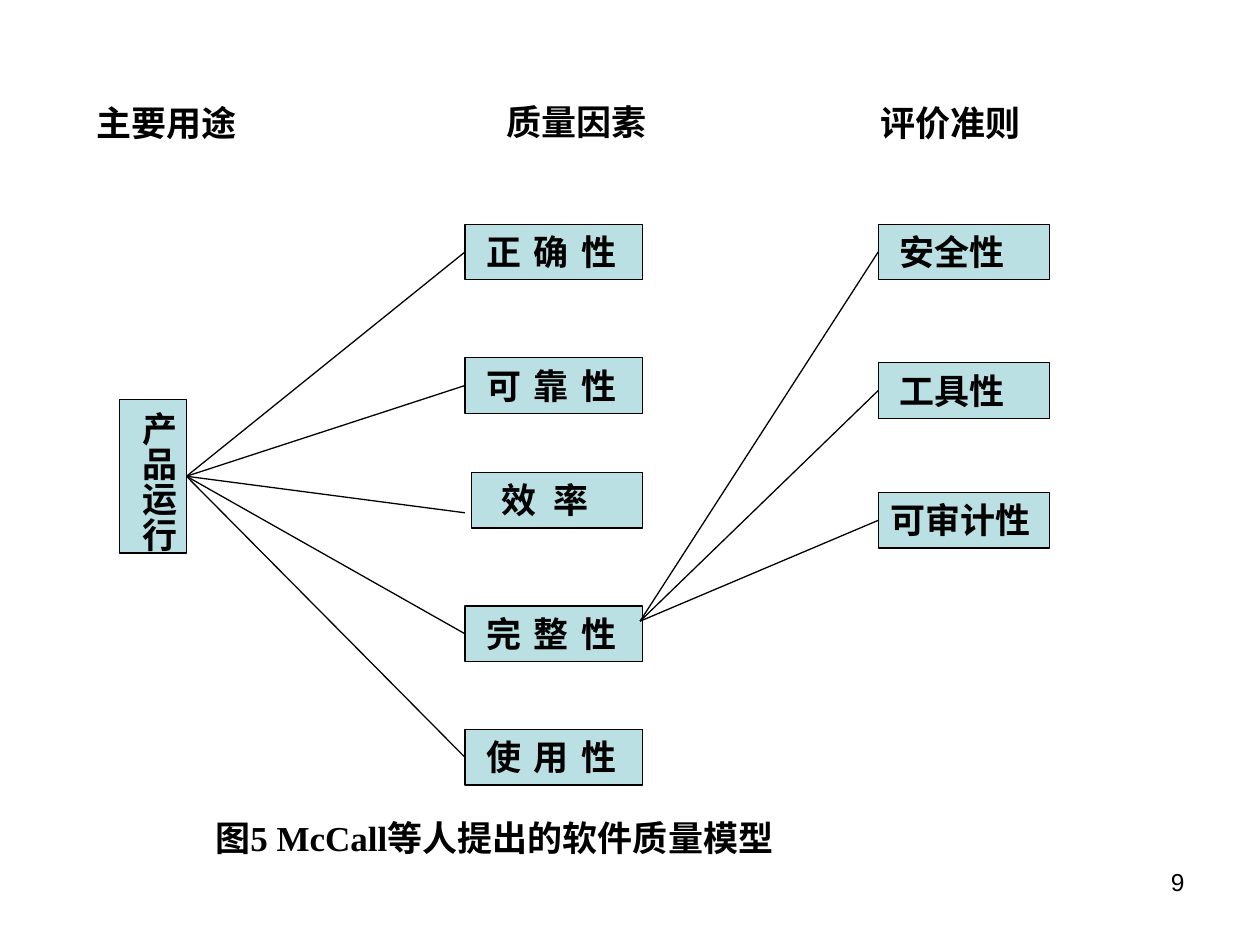
"""Build the slide with the McCall software quality model tree."""
from lxml import etree
from pptx import Presentation, util as u
from pptx.dml.color import RGBColor
from pptx.enum import shapes, text
from pptx.oxml.ns import qn

PX = 9144
INK = {"fill": "BBE0E3", "line": "000000", "text": "000000"}

deck = Presentation()
deck.slide_width, deck.slide_height = 1000 * PX, 750 * PX
slide = deck.slides.add_slide(deck.slide_layouts[6])
tree = slide.shapes


def write(item, words, left=10, size=20, font="Times New Roman", bold=True):
    frame = item.text_frame
    frame.text = words
    frame.word_wrap = True
    frame.vertical_anchor = text.MSO_ANCHOR.TOP
    frame.margin_left, frame.margin_right = left * PX, 10 * PX
    frame.margin_top = frame.margin_bottom = 5 * PX
    para = frame.paragraphs[0]
    para.alignment = text.PP_ALIGN.LEFT
    face = para.runs[0].font
    face.name, face.size, face.bold = font, u.Pt(size), bold
    face.color.rgb = RGBColor.from_string(INK["text"])
    return frame


def join(start, end):
    line = tree.add_connector(shapes.MSO_CONNECTOR.STRAIGHT, 0, 0, 0, 0)
    if isinstance(start, tuple):
        line.begin_x, line.begin_y = (v * PX for v in start)
    else:
        line.begin_connect(start, 3)
    if isinstance(end, tuple):
        line.end_x, line.end_y = (v * PX for v in end)
    else:
        line.end_connect(end, 1)
    line.line.width = u.Pt(0.75)
    line.line.color.rgb = RGBColor.from_string(INK["line"])
    etree.SubElement(line._element.spPr, qn("a:effectLst"))


boxes = {}
for words, x, y, w, h, left in [
    ("产品运行", 95, 317, 53, 122, 5),
    ("正 确 性", 369, 178, 141, 44, 17),
    ("可 靠 性", 369, 284, 141, 44, 17),
    ("效 率", 374, 375, 136, 44, 24),
    ("完 整 性", 369, 481, 141, 44, 17),
    ("使 用 性", 369, 579, 141, 44, 17),
    ("安全性", 697, 178, 136, 44, 17),
    ("工具性", 697, 288, 136, 44, 17),
    ("可审计性", 697, 391, 136, 44, 10),
]:
    box = tree.add_shape(shapes.MSO_SHAPE.RECTANGLE, x * PX, y * PX, w * PX, h * PX)
    box.shadow.inherit = False
    box.fill.solid()
    box.fill.fore_color.rgb = RGBColor.from_string(INK["fill"])
    box.line.color.rgb = RGBColor.from_string(INK["line"])
    box.line.width = u.Pt(0.75)
    frame = write(box, words, left)
    if " " in words:
        props = frame.paragraphs[0].runs[0].font._element
        props.set("spc", str(500 // (len(words) - 1)))
    boxes[words] = box

root, *rest = boxes.values()
frame = root.text_frame
frame.word_wrap = False
frame.auto_size = text.MSO_AUTO_SIZE.SHAPE_TO_FIT_TEXT
frame.margin_right = 5 * PX
frame.margin_top = frame.margin_bottom = 10 * PX
frame._txBody.bodyPr.set("vert", "eaVert")

for box in rest[:5]:
    join(root, (369, 407) if box is boxes["效 率"] else box)
for box in rest[5:]:
    join((508, 493), box)

for words, x, y, w in [
    ("主要用途", 67, 76, 150),
    ("质量因素", 392, 75, 131),
    ("评价准则", 689, 76, 169),
    ("图5 McCall等人提出的软件质量模型", 161, 643, 530),
]:
    write(tree.add_textbox(x * PX, y * PX, w * PX, 44 * PX), words)

page = tree.add_textbox(717 * PX, 683 * PX, 233 * PX, 52 * PX)
frame = write(page, "9", size=14, font="Arial", bold=False)
frame.paragraphs[0].alignment = text.PP_ALIGN.RIGHT

deck.save("out.pptx")
